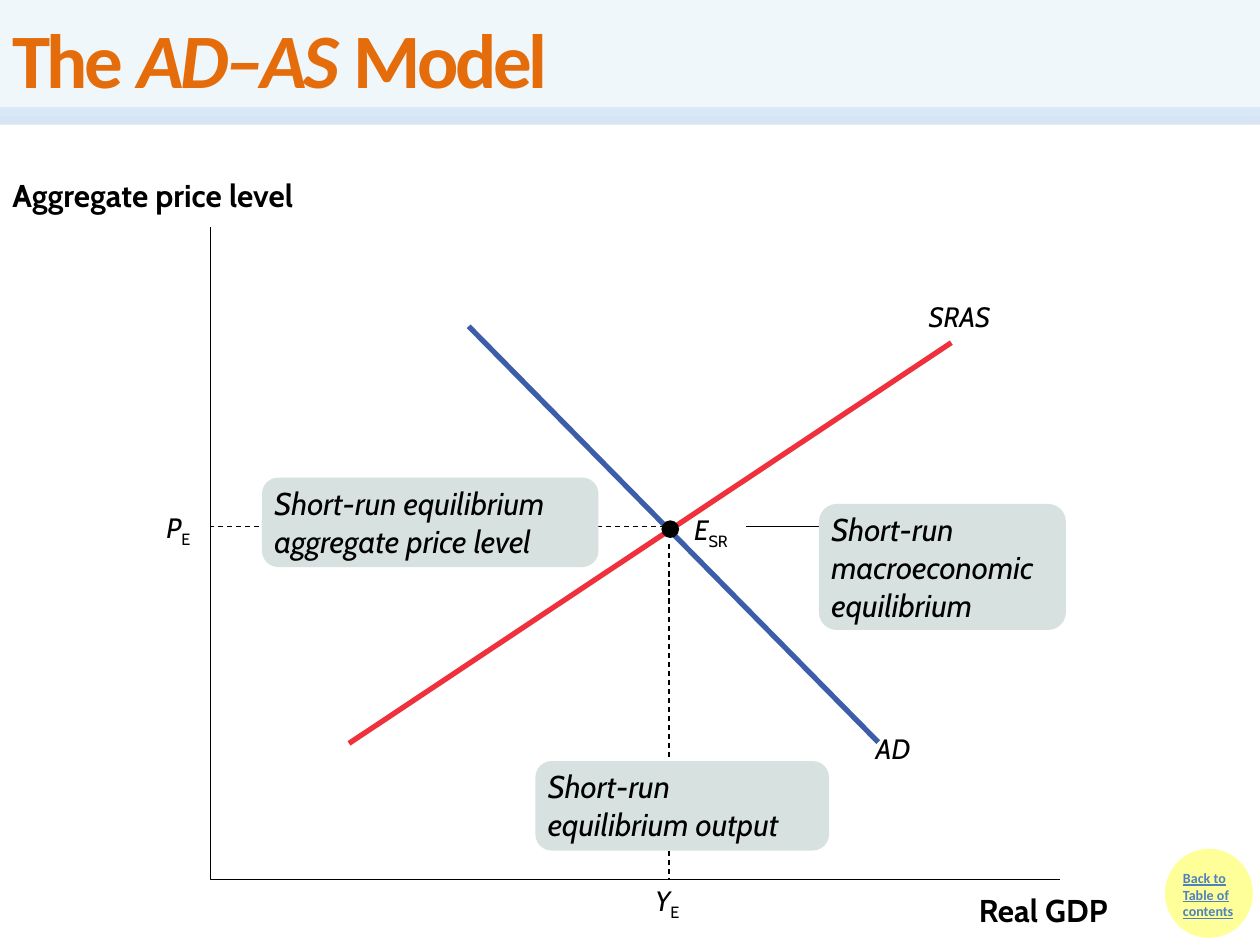
from lxml.etree import SubElement
from pptx import Presentation
from pptx.dml.color import RGBColor
from pptx.enum.dml import MSO_LINE
from pptx.enum.shapes import MSO_CONNECTOR, MSO_SHAPE
from pptx.enum.text import MSO_ANCHOR, MSO_AUTO_SIZE, PP_ALIGN
from pptx.oxml.ns import qn
from pptx.util import Inches, Pt

BLACK = RGBColor(0, 0, 0)
WHITE = RGBColor(255, 255, 255)
ORANGE = RGBColor(0xE4, 0x6C, 0x0A)
PALE = RGBColor(0xDB, 0xEE, 0xF4)
BAND = RGBColor(0xC6, 0xD9, 0xF1)
YELLOW = RGBColor(0xFF, 0xFF, 0x99)
LINK = RGBColor(0x4F, 0x81, 0xBD)
BLUE = RGBColor(0x3C, 0x5D, 0xAA)
RED = RGBColor(0xEE, 0x31, 0x3C)
GREY = RGBColor(0xD7, 0xE2, 0xE0)

LABEL = {"name": "Cabin", "size": Pt(16), "italic": True}
NOTE = {"name": "Cabin", "size": Pt(18), "italic": True}
AXIS = {"name": "Cabin", "size": Pt(18), "bold": True}
BACK = {"name": "Calibri", "size": Pt(8), "bold": True, "underline": True}
TITLE = {"name": "Calibri", "size": Pt(44), "bold": True}


class Painter:
    """Draws the elements of a market diagram on one slide in a shared style."""

    def __init__(self, slide):
        self.slide = slide
        self.shapes = slide.shapes

    def fade(self, part, share):
        color = next(part.iter(qn("a:srgbClr")))
        SubElement(color, qn("a:alpha"), val=str(share * 1000))

    def run(self, para, text, style, color=BLACK, **props):
        run = para.add_run()
        run.text = text
        for key, value in style.items():
            setattr(run.font, key, value)
        run.font.color.rgb = color
        for key, value in props.items():
            run.font._element.set(key, str(value))

    def line(self, start, end, color=BLACK, width=0.75, dash=None):
        ends = [Inches(n) for n in (*start, *end)]
        line = self.shapes.add_connector(MSO_CONNECTOR.STRAIGHT, *ends)
        line.line.color.rgb = color
        line.line.width = Pt(width)
        if dash:
            line.line.dash_style = dash
        SubElement(line._element.spPr, qn("a:effectLst"))
        return line

    def shape(self, kind, box, fill):
        shape = self.shapes.add_shape(kind, *[Inches(n) for n in box])
        shape.shadow.inherit = False
        shape.fill.solid()
        shape.fill.fore_color.rgb = fill
        shape.line.fill.background()
        return shape

    def text(self, box, text, style, color=BLACK):
        frame = self.shapes.add_textbox(*[Inches(n) for n in box]).text_frame
        frame.word_wrap = True
        frame.auto_size = MSO_AUTO_SIZE.SHAPE_TO_FIT_TEXT
        self.run(frame.paragraphs[0], text, style, color)
        return frame

    def label(self, box, text, sub=""):
        frame = self.text(box, text, LABEL)
        frame.word_wrap = False
        for side in ("left", "top", "right", "bottom"):
            setattr(frame, f"margin_{side}", 0)
        if sub:
            style = {**LABEL, "italic": False}
            self.run(frame.paragraphs[0], sub, style, baseline=-25000)

    def panel(self, box, round):
        self.shape(MSO_SHAPE.ROUNDED_RECTANGLE, box, GREY).adjustments[0] = round

    def axes(self, points):
        first, *rest = [(Inches(x), Inches(y)) for x, y in points]
        path = self.shapes.build_freeform(*first)
        path.add_line_segments(rest, close=False)
        axes = path.convert_to_shape()
        axes.shadow.inherit = False
        axes.fill.background()
        axes.line.color.rgb = BLACK
        axes.line.width = 0

    def title(self, box, parts):
        bar = self.shape(MSO_SHAPE.RECTANGLE, box, PALE)
        self.fade(bar._element.spPr, 44)
        frame = bar.text_frame
        frame.word_wrap = True
        frame.vertical_anchor = MSO_ANCHOR.MIDDLE
        para = frame.paragraphs[0]
        para.alignment = PP_ALIGN.LEFT
        for text, slant in parts:
            self.run(para, text, {**TITLE, "italic": slant}, ORANGE, spc=-200)


def main():
    deck = Presentation()
    deck.slide_width, deck.slide_height = Inches(10), Inches(7.5)
    slide = deck.slides.add_slide(deck.slide_layouts[6])
    slide.background.fill.solid()
    slide.background.fill.fore_color.rgb = WHITE
    pen = Painter(slide)

    band = pen.line((0, 0.92), (10, 0.92), BAND, 10)
    pen.fade(band._element.spPr, 71)
    disc = pen.shape(MSO_SHAPE.OVAL, (9.26, 6.75, 0.67, 0.68), YELLOW)
    disc.line.color.rgb = YELLOW
    disc.line.width = Pt(2)
    pen.text((9.29, 6.85, 0.72, 0.67), "Back to Table of contents", BACK, LINK)

    pen.label((5.2, 7.01, 0.25, 0.27), "Y", "E")
    pen.label((1.32, 4.05, 0.25, 0.27), "P", "E")
    pen.label((5.51, 4.07, 0.36, 0.27), "E", "SR")
    pen.label((7.37, 2.38, 0.61, 0.27), "SRAS")
    pen.label((6.95, 5.81, 0.31, 0.27), "AD")

    pen.line((6.97, 5.89), (3.72, 2.59), BLUE, 3)
    pen.line((2.77, 5.9), (7.55, 2.72), RED, 3)
    pen.axes([(8.41, 6.98), (1.67, 6.98), (1.67, 1.8)])
    pen.shape(MSO_SHAPE.OVAL, (5.25, 4.13, 0.14, 0.14), BLACK)
    pen.text((7.67, 7.02, 1.58, 0.4), "Real GDP", AXIS)
    pen.text((0, 1.35, 2.58, 0.4), "Aggregate price level", AXIS)

    pen.line((5.31, 4.32), (5.31, 6.98), dash=MSO_LINE.DASH)
    pen.line((5.28, 4.18), (1.67, 4.18), dash=MSO_LINE.DASH)
    pen.line((5.92, 4.18), (6.5, 4.18))
    pen.title((0, 0, 10, 0.92), [("The ", False), ("AD–AS ", True), ("Model", False)])

    notes = [
        ((6.5, 4, 1.96, 1), 2.08, "Short-run macroeconomic equilibrium", 0.14),
        ((4.25, 6.04, 2.33, 0.71), 2.17, "Short-run equilibrium output", 0.18),
        ((2.08, 3.79, 2.67, 0.71), 2.67,
         "Short-run equilibrium aggregate price level", 0.18),
    ]
    for box, width, text, round in notes:
        left, top, _, height = box
        pen.panel(box, round)
        pen.text((left, top, width, height), text, NOTE)

    deck.save("out.pptx")


if __name__ == "__main__":
    main()
